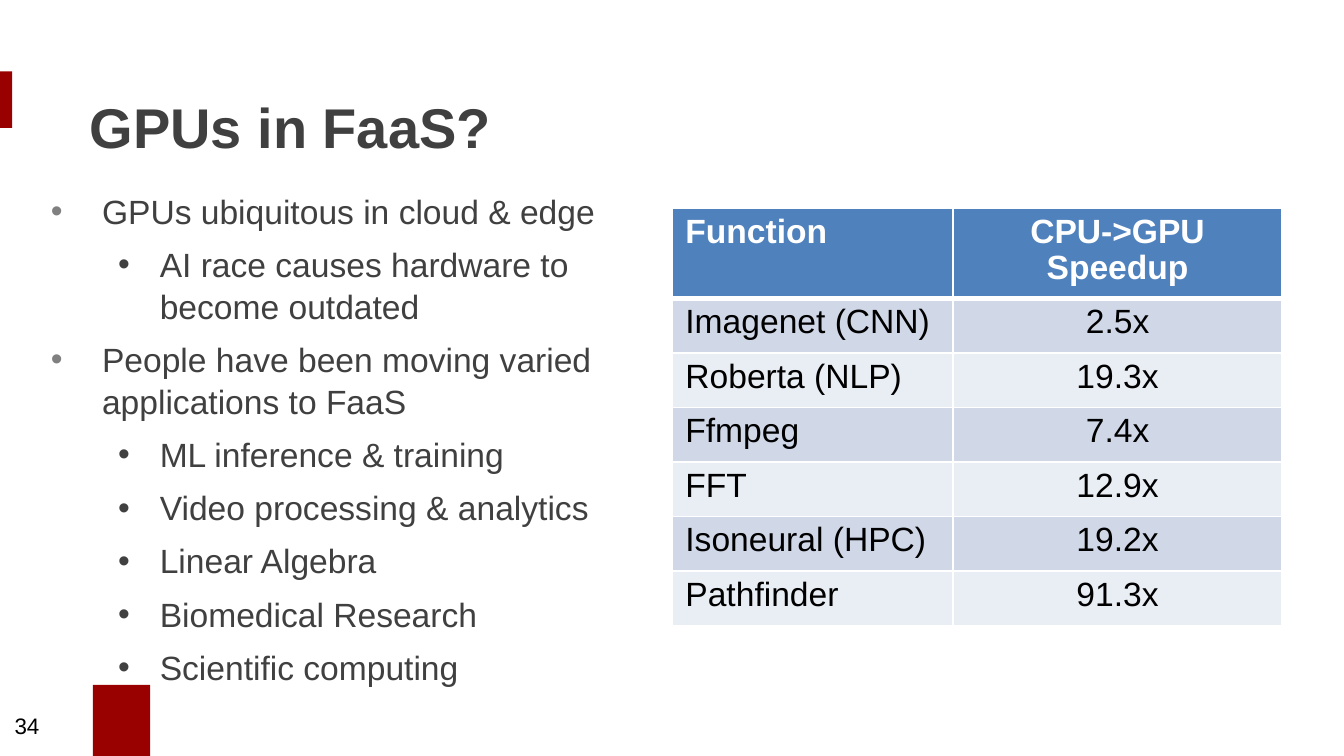
from lxml import etree
from pptx import Presentation
from pptx.dml.color import RGBColor
from pptx.enum.shapes import MSO_SHAPE
from pptx.enum.text import MSO_ANCHOR, PP_ALIGN
from pptx.oxml.ns import qn
from pptx.util import Pt

RECT = MSO_SHAPE.RECTANGLE
TOP, MIDDLE = MSO_ANCHOR.TOP, MSO_ANCHOR.MIDDLE
LEFT, CENTER = PP_ALIGN.LEFT, PP_ALIGN.CENTER

FONT = "Arial"
COLORS = {
    "accent": "990000",
    "text": "404041",
    "bullet": "808080",
    "black": "000000",
    "white": "FFFFFF",
    "header": "4F81BD",
    "band_dark": "D0D8E8",
    "band_light": "E9EDF4",
}

# Per outline level: left margin, hanging indent, bullet colour
LEVELS = [(27.36, 27.36, "bullet"), (58.32, 22.32, "text")]

POINTS = [
    (0, "GPUs ubiquitous in cloud & edge"),
    (1, "AI race causes hardware to become outdated"),
    (0, "People have been moving varied applications to FaaS"),
    (1, "ML inference & training"),
    (1, "Video processing & analytics"),
    (1, "Linear Algebra"),
    (1, "Biomedical Research"),
    (1, "Scientific computing"),
]

SPEEDUPS = [
    ("Function", "CPU->GPU Speedup"),
    ("Imagenet (CNN)", "2.5x"),
    ("Roberta (NLP)", "19.3x"),
    ("Ffmpeg", "7.4x"),
    ("FFT", "12.9x"),
    ("Isoneural (HPC)", "19.2x"),
    ("Pathfinder", "91.3x"),
]


def rgb(name):
    return RGBColor.from_string(COLORS[name])


class SlideBuilder:
    def __init__(self, slide):
        self.slide = slide

    def style(self, p, size, color, bold=False):
        for r in p.runs:
            r.font.name = FONT
            r.font.size = Pt(size)
            r.font.bold = bold
            r.font.color.rgb = rgb(color)

    def block(self, x, y, w, h, color):
        s = self.slide.shapes.add_shape(RECT, Pt(x), Pt(y), Pt(w), Pt(h))
        s.shadow.inherit = False
        s.fill.solid()
        s.fill.fore_color.rgb = rgb(color)
        s.line.fill.background()

    def frame(self, x, y, w, h, anchor):
        s = self.slide.shapes.add_textbox(Pt(x), Pt(y), Pt(w), Pt(h))
        tf = s.text_frame
        tf.word_wrap = True
        tf.vertical_anchor = anchor
        return tf

    def label(self, x, y, w, h, text, size, color, bold=False):
        tf = self.frame(x, y, w, h, MIDDLE)
        tf.text = text
        self.style(tf.paragraphs[0], size, color, bold)

    def bullets(self, x, y, w, h, items, size):
        tf = self.frame(x, y, w, h, TOP)
        tf.text = "\n".join(text for _, text in items)
        for p, (level, _) in zip(tf.paragraphs, items):
            margin, hang, color = LEVELS[level]
            p.level = level
            p.line_spacing = 1.04
            p.space_after = Pt(6)
            pPr = p._p.get_or_add_pPr()
            pPr.set("marL", str(Pt(margin)))
            pPr.set("indent", str(-Pt(hang)))
            clr = etree.SubElement(pPr, qn("a:buClr"))
            etree.SubElement(clr, qn("a:srgbClr"), val=COLORS[color])
            etree.SubElement(pPr, qn("a:buFont"), typeface=FONT)
            etree.SubElement(pPr, qn("a:buChar"), char="•")
            self.style(p, size, "text")

    def borders(self, cell, widths):
        """Draw white borders; the lines must come before the cell fill."""
        tcPr = cell._tc.get_or_add_tcPr()
        for side, width in zip("LRTB", widths):
            ln = etree.SubElement(tcPr, qn(f"a:ln{side}"), w=str(Pt(width)))
            fill = etree.SubElement(ln, qn("a:solidFill"))
            etree.SubElement(fill, qn("a:srgbClr"), val=COLORS["white"])

    def table(self, x, y, col_widths, row_height, rows, size):
        s = self.slide.shapes.add_table(
            len(rows), len(col_widths), Pt(x), Pt(y),
            Pt(sum(col_widths)), Pt(row_height * len(rows)))
        table = s.table
        for column, width in zip(table.columns, col_widths):
            column.width = Pt(width)
        for i, values in enumerate(rows):
            table.rows[i].height = Pt(row_height)
            header = i == 0
            band = "band_dark" if i % 2 else "band_light"
            for j, value in enumerate(values):
                cell = table.cell(i, j)
                self.borders(cell, (1, 1, 3 if i == 1 else 1, 3 if header else 1))
                cell.fill.solid()
                cell.fill.fore_color.rgb = rgb("header" if header else band)
                cell.text = value
                p = cell.text_frame.paragraphs[0]
                p.alignment = CENTER if j else LEFT
                p.line_spacing = 0.95
                self.style(p, size, "white" if header else "black", header)


def main():
    prs = Presentation()
    prs.slide_width, prs.slide_height = Pt(720), Pt(405)
    b = SlideBuilder(prs.slides.add_slide(prs.slide_layouts[6]))
    b.block(0, 38.2, 6.5, 30.4, "accent")
    b.block(49.8, 367, 30.6, 42, "accent")
    b.label(41, 36.7, 359.3, 61.2, "GPUs in FaaS?", 30, "text", bold=True)
    b.bullets(20.2, 97.9, 358.6, 268.6, POINTS, 18)
    b.label(0.7, 378, 41.8, 21.6, "34", 12, "black")
    b.table(360, 111.6, (150.5, 176.4), 29.2, SPEEDUPS, 18)
    prs.save("out.pptx")


if __name__ == "__main__":
    main()
